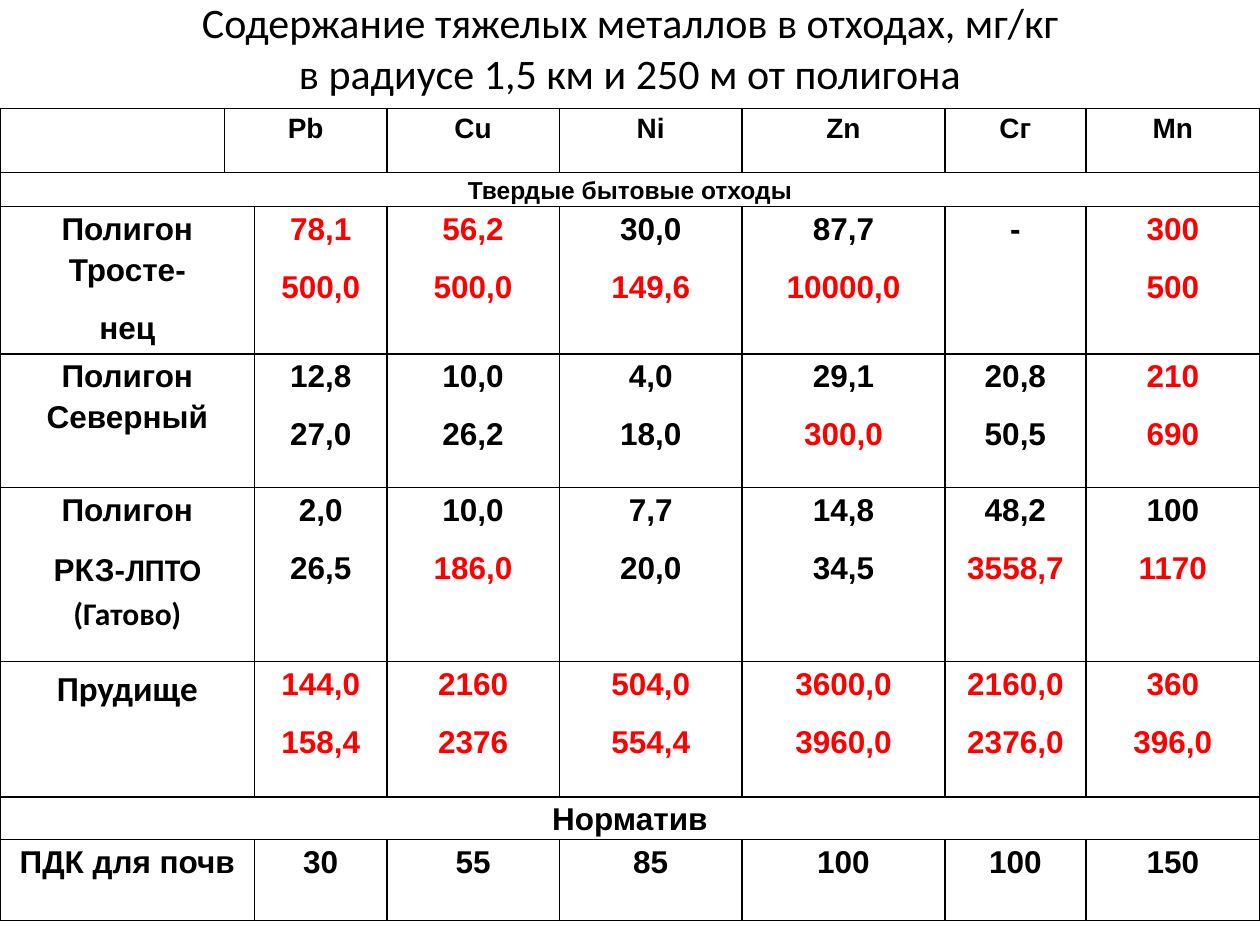
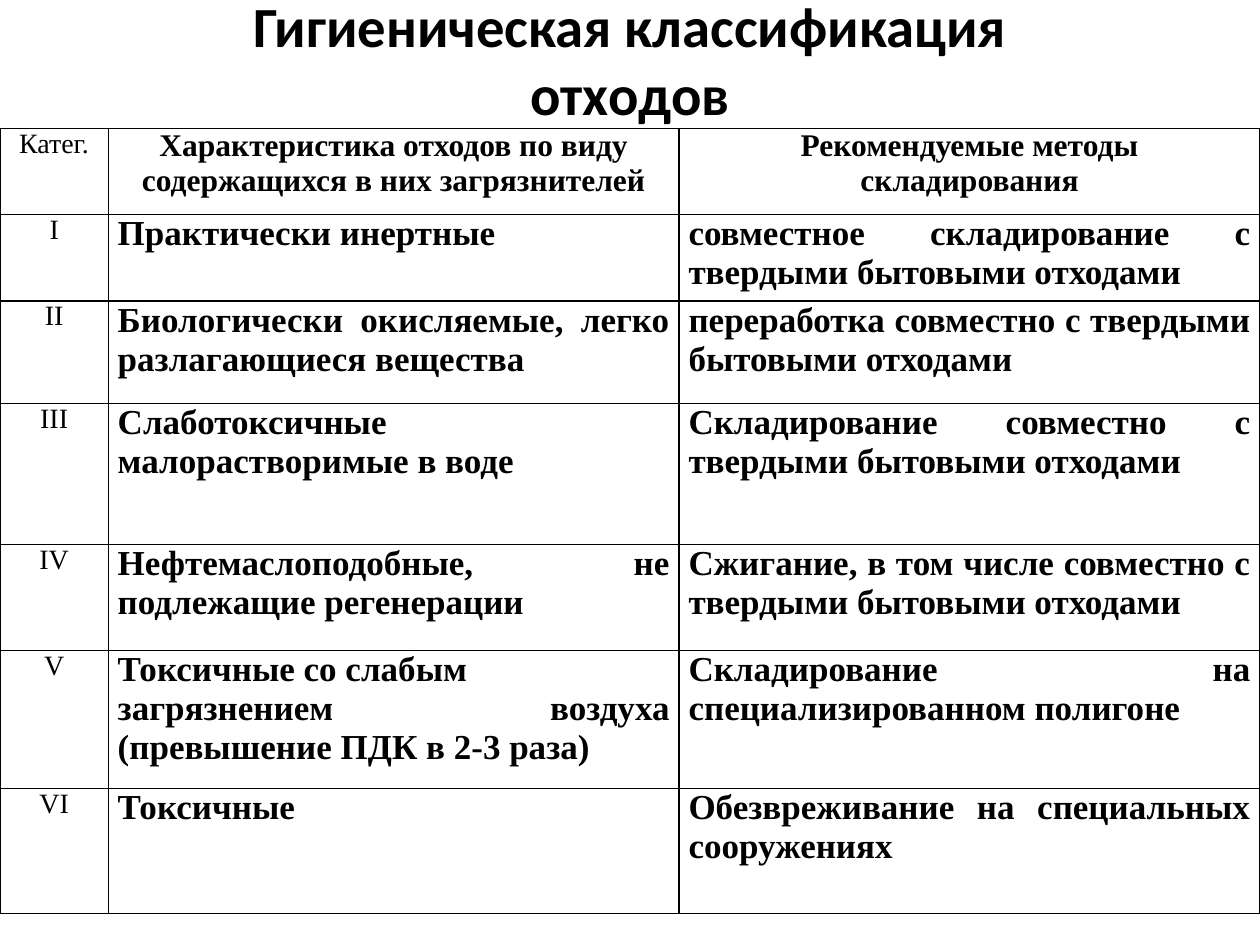
from dataclasses import dataclass

from lxml import etree
from pptx import Presentation
from pptx.dml.color import RGBColor
from pptx.enum.text import MSO_ANCHOR, MSO_AUTO_SIZE, PP_ALIGN
from pptx.oxml.ns import qn
from pptx.util import Pt

CENTER = PP_ALIGN.CENTER
JUSTIFY = PP_ALIGN.JUSTIFY
MIDDLE = MSO_ANCHOR.MIDDLE
NO_AUTOFIT = MSO_AUTO_SIZE.NONE
TITLE_ONLY = 5


@dataclass(frozen=True)
class Theme:
    black: str = "000000"
    white: str = "FFFFFF"
    alert: str = "FF0000"
    title_font: str = "Calibri"
    metal_font: str = "Arial"
    class_font: str = "Times New Roman"
    metal_title: float = 24
    class_title: float = 32.4
    large: float = 20
    body: float = 18
    head: float = 16
    section: float = 14
    border: float = 1


THEME = Theme()

METALS = ["Рb", "Сu", "Ni", "Zn", "Сг", "Mn"]
LIMITS = ["30", "55", "85", "100", "100", "150"]
SITES = [
    ("Тростенец", ["78,1 500,0", "56,2 500,0", "30,0 149,6", "87,7 10000,0", "-", "300 500"]),
    ("Северный", ["12,8 27,0", "10,0 26,2", "4,0 18,0", "29,1 300,0", "20,8 50,5", "210 690"]),
    ("Гатово", ["2,0 26,5", "10,0 186,0", "7,7 20,0", "14,8 34,5", "48,2 3558,7", "100 1170"]),
    ("Прудище", ["144,0 158,4", "2160 2376", "504,0 554,4", "3600,0 3960,0",
                 "2160,0 2376,0", "360 396,0"]),
]
WASTE_CLASSES = [
    ("I", ["Практически инертные"], "совместное складирование с твердыми бытовыми отходами"),
    ("II", ["Биологически окисляемые, легко разлагающиеся вещества"],
     "переработка совместно с твердыми бытовыми отходами"),
    ("III", ["Слаботоксичные малорастворимые в воде"],
     "Складирование совместно с твердыми бытовыми отходами"),
    ("IV", ["Нефтемаслоподобные, не подлежащие регенерации"],
     "Сжигание, в том числе совместно с твердыми бытовыми отходами"),
    ("V", ["Токсичные со слабым", "загрязнением воздуха (превышение ПДК в 2-3 раза)"],
     "Складирование на специализированном полигоне"),
    ("VI", ["Токсичные"], "Обезвреживание на специальных сооружениях"),
]


def add_run(p, text, font, size, bold=True, color=THEME.black):
    r = p.add_run()
    r.text = text
    r.font.name = font
    r.font.size = Pt(size)
    r.font.bold = bold
    r.font.color.rgb = RGBColor.from_string(color)


def add_title_slide(prs, lines, height, size, bold):
    s = prs.slides.add_slide(prs.slide_layouts[TITLE_ONLY])
    sp = s.shapes.title
    sp.left, sp.top, sp.width, sp.height = Pt(0), Pt(0), prs.slide_width, Pt(height)
    tf = sp.text_frame
    tf.word_wrap = True
    tf.auto_size = NO_AUTOFIT
    tf.vertical_anchor = MIDDLE
    tf.margin_top = tf.margin_bottom = 0
    p = tf.paragraphs[0]
    p.alignment = CENTER
    for i, line in enumerate(lines):
        if i:
            p.add_line_break()
        add_run(p, line, THEME.title_font, size, bold)
    return s


def style_cell(cell, margin):
    cell.margin_left = cell.margin_right = Pt(margin)
    cell.margin_top = cell.margin_bottom = 0
    tcPr = cell._tc.get_or_add_tcPr()
    for side in ("a:lnL", "a:lnR", "a:lnT", "a:lnB"):
        ln = etree.SubElement(tcPr, qn(side), w=str(Pt(THEME.border)))
        fill = etree.SubElement(ln, qn("a:solidFill"))
        etree.SubElement(fill, qn("a:srgbClr"), val=THEME.black)
    cell.fill.solid()
    cell.fill.fore_color.rgb = RGBColor.from_string(THEME.white)


def add_grid(s, top, widths, heights, margin):
    frame = s.shapes.add_table(len(heights), len(widths), Pt(0), Pt(top),
                               Pt(sum(widths)), Pt(sum(heights)))
    table = frame.table
    table.first_row = table.horz_banding = False
    for column, width in zip(table.columns, widths):
        column.width = Pt(width)
    for row, height in zip(table.rows, heights):
        row.height = Pt(height)
    for cell in table.iter_cells():
        style_cell(cell, margin)
    return table


def add_paragraphs(cell, count, align, line_spacing=1.0, space_after=0):
    tf = cell.text_frame
    for i in range(count):
        p = tf.paragraphs[0] if i == 0 else tf.add_paragraph()
        p.alignment = align
        p.line_spacing = line_spacing
        p.space_after = Pt(space_after)
        yield p


def write_metal(cell, *paragraphs):
    for p, runs in zip(add_paragraphs(cell, len(paragraphs), CENTER, 1.15, 10), paragraphs):
        for text, font, size, color in runs:
            add_run(p, text, font, size, True, color)


def metal_run(text, size=THEME.body, font=THEME.metal_font, color=THEME.black):
    return [(text, font, size, color)]


def write_class(cell, lines, align, size, bold):
    for p, line in zip(add_paragraphs(cell, len(lines), align), lines):
        add_run(p, line, THEME.class_font, size, bold)


def to_number(text):
    return float(text.replace(",", "."))


def reading_run(text, limit):
    exceeded = text != "-" and to_number(text) > to_number(limit)
    return metal_run(text, color=THEME.alert if exceeded else THEME.black)


def build_metals(prs):
    s = add_title_slide(prs, ["Содержание тяжелых металлов в отходах, мг/кг",
                              "в радиусе 1,5 км и 250 м от полигона"],
                        54, THEME.metal_title, False)
    table = add_grid(s, 61.9, [128.2, 17.3, 75.6, 98.6, 104.4, 115.9, 80.6, 99.4],
                     [36.8, 19.4, 84.2, 76.3, 99.4, 77.4, 24.5, 46.1], 2.2)
    labels = {
        "Тростенец": [metal_run("Полигон Тросте-"), metal_run("нец")],
        "Северный": [metal_run("Полигон Северный")],
        "Гатово": [metal_run("Полигон"),
                   metal_run("РКЗ-") + metal_run("ЛПТО (Гатово)", font=THEME.title_font)],
        "Прудище": [metal_run("Прудище", THEME.large, THEME.title_font)],
    }
    table.cell(0, 1).merge(table.cell(0, 2))
    for col, metal in enumerate(METALS, 2):
        write_metal(table.cell(0, 1 if col == 2 else col), metal_run(metal, THEME.head))
    for row, text, size in ((1, "Твердые бытовые отходы", THEME.section),
                            (6, "Норматив", THEME.body)):
        table.cell(row, 0).merge(table.cell(row, 7))
        write_metal(table.cell(row, 0), metal_run(text, size))
    for row, (site, readings) in enumerate(SITES, 2):
        table.cell(row, 0).merge(table.cell(row, 1))
        write_metal(table.cell(row, 0), *labels[site])
        for col, (pair, limit) in enumerate(zip(readings, LIMITS), 2):
            write_metal(table.cell(row, col), *[reading_run(t, limit) for t in pair.split()])
    table.cell(7, 0).merge(table.cell(7, 1))
    write_metal(table.cell(7, 0), metal_run("ПДК для почв"))
    for col, limit in enumerate(LIMITS, 2):
        write_metal(table.cell(7, col), metal_run(limit))


def build_classes(prs):
    s = add_title_slide(prs, ["Гигиеническая классификация", "отходов"],
                        67, THEME.class_title, True)
    table = add_grid(s, 73.4, [61.9, 326.2, 331.9],
                     [49.3, 49.3, 58.6, 80.6, 60.5, 79, 71.3], 5.4)
    write_class(table.cell(0, 0), ["Катег."], CENTER, THEME.head, False)
    for col, text in enumerate(["Характеристика отходов по виду содержащихся в них загрязнителей",
                                "Рекомендуемые методы складирования"], 1):
        write_class(table.cell(0, col), [text], CENTER, THEME.body, True)
    for row, (category, wastes, method) in enumerate(WASTE_CLASSES, 1):
        write_class(table.cell(row, 0), [category], CENTER, THEME.head, False)
        write_class(table.cell(row, 1), wastes, JUSTIFY, THEME.large, True)
        write_class(table.cell(row, 2), [method], JUSTIFY, THEME.large, True)


def main():
    prs = Presentation()
    prs.slide_width, prs.slide_height = Pt(720), Pt(540)
    build_metals(prs)
    build_classes(prs)
    prs.save("out.pptx")


if __name__ == "__main__":
    main()
